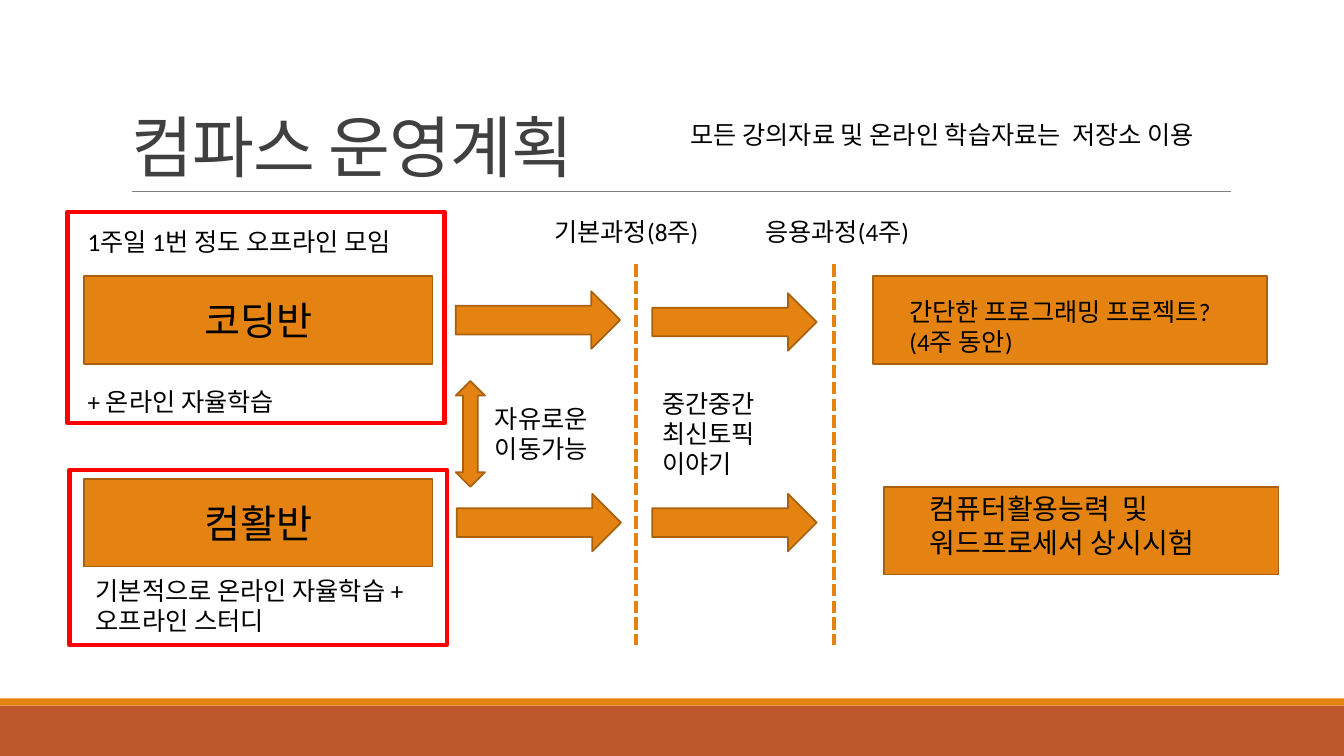
import pptx
import pptx.util
import pptx.oxml.ns
import pptx.dml.color
import pptx.enum.dml
import pptx.enum.shapes
import pptx.enum.text

HUES = {"gold": "E48312", "edge": "A9610D", "rust": "BD582C", "red": "FF0000",
        "gray": "808080", "dark": "404040", "black": "000000"}
FONT = "Calibri"
TITLE = "컴파스 운영계획"

BANDS = [(7, 0.5, "rust"), (6.93, 0.07, "gold")]
CLASSES = [("코딩반", 2.74), ("컴활반", 4.75)]
GOALS = [
    (8.66, 2.74, 18, ["간단한 프로그래밍 프로젝트?", "(4주 동안)"], (0.36, 0.2, 0.26)),
    (8.77, 4.83, 20, ["컴퓨터활용능력  및 워드프로세서 상시시험"], (0.45, 0.05, 0.35)),
]
FRAMES = [(0.67, 2.1, 2.1), (0.69, 4.66, 1.74)]
STAGES = [6.31, 8.27]
ARROWS = [(4.52, 2.89), (6.47, 2.91), (4.53, 4.9), (6.47, 4.9)]
LABELS = [
    (5.4, 2.1, 1.95, 0.4, ["기본과정(8주)"]),
    (7.49, 2.1, 1.95, 0.4, ["응용과정(4주)"]),
    (0.77, 2.2, 3.75, 0.4, ["1주일 1번 정도 오프라인 모임"]),
    (0.77, 3.78, 3.42, 0.4, ["+ 온라인 자율학습"]),
    (0.85, 5.66, 3.42, 0.71, ["기본적으로 온라인 자율학습 + 오프라인 스터디"]),
    (4.81, 3.95, 1.34, 0.71, ["자유로운", "이동가능"]),
    (6.47, 3.8, 1.63, 1.01, ["중간중간", "최신토픽", "이야기"]),
    (6.75, 1.13, 5.82, 0.4, ["모든 강의자료 및 온라인 학습자료는  저장소 이용"]),
]

Inches = pptx.util.Inches
Pt = pptx.util.Pt
KIND = pptx.enum.shapes.MSO_SHAPE
ALIGN = pptx.enum.text.PP_ALIGN
ANCHOR = pptx.enum.text.MSO_ANCHOR


def tint(name):
    return pptx.dml.color.RGBColor.from_string(HUES[name])


def write(frame, lines, size, hue="black", align=ALIGN.LEFT, anchor=ANCHOR.TOP):
    frame.word_wrap = True
    frame.vertical_anchor = anchor
    for i, line in enumerate(lines):
        para = frame.paragraphs[0] if i == 0 else frame.add_paragraph()
        para.alignment = align
        run = para.add_run()
        run.text = line
        run.font.size = Pt(size)
        run.font.name = FONT
        run.font.color.rgb = tint(hue)


def draw(kind, x, y, w, h, fill="gold", edge="edge", width=1.25):
    shape = slide.shapes.add_shape(kind, Inches(x), Inches(y), Inches(w), Inches(h))
    shape.shadow.inherit = False
    if fill:
        shape.fill.solid()
        shape.fill.fore_color.rgb = tint(fill)
    else:
        shape.fill.background()
    if edge:
        shape.line.color.rgb = tint(edge)
        shape.line.width = Pt(width)
    else:
        shape.line.fill.background()
    return shape


def rule(x1, y1, x2, y2, hue, width):
    line = slide.shapes.add_connector(pptx.enum.shapes.MSO_CONNECTOR.STRAIGHT,
                                      Inches(x1), Inches(y1), Inches(x2), Inches(y2))
    line.line.color.rgb = tint(hue)
    line.line.width = Pt(width)
    props = line._element.spPr
    props.append(props.makeelement(pptx.oxml.ns.qn("a:effectLst"), {}))
    return line


deck = pptx.Presentation()
deck.slide_width, deck.slide_height = Inches(13.33), Inches(7.5)
slide = deck.slides.add_slide(deck.slide_layouts[5])

for y, h, hue in BANDS:
    draw(KIND.RECTANGLE, 0, y, 13.33, h, hue, None)
rule(1.31, 1.9, 12.21, 1.9, "gray", 0.5)

title = slide.shapes.title
title.left, title.top = Inches(1.2), Inches(0.31)
title.width, title.height = Inches(11), Inches(1.59)
write(title.text_frame, [TITLE], 48, "dark", anchor=ANCHOR.BOTTOM)
title.text_frame.auto_size = pptx.enum.text.MSO_AUTO_SIZE.NONE
head = title.text_frame.paragraphs[0]
head.line_spacing = 0.85
head.runs[0].font._element.set("spc", "-50")

for name, y in CLASSES:
    box = draw(KIND.RECTANGLE, 0.83, y, 3.46, 0.87)
    write(box.text_frame, [name], 28, align=ALIGN.CENTER, anchor=ANCHOR.MIDDLE)

for x, y, size, lines, (left, top, right) in GOALS:
    frame = draw(KIND.RECTANGLE, x, y, 3.91, 0.87).text_frame
    frame.margin_left, frame.margin_top = Inches(left), Inches(top)
    frame.margin_right, frame.margin_bottom = Inches(right), 0
    write(frame, lines, size)

for x in STAGES:
    line = rule(x, 2.62, x, 6.4, "gold", 3)
    line.line.dash_style = pptx.enum.dml.MSO_LINE.SQUARE_DOT

for x, y in ARROWS:
    draw(KIND.RIGHT_ARROW, x, y, 1.63, 0.57)
draw(KIND.UP_DOWN_ARROW, 4.52, 3.78, 0.29, 1.05)

for x, y, h in FRAMES:
    draw(KIND.RECTANGLE, x, y, 3.74, h, None, "red", 3)

for x, y, w, h, lines in LABELS:
    note = slide.shapes.add_textbox(Inches(x), Inches(y), Inches(w), Inches(h))
    write(note.text_frame, lines, 18)

deck.save("out.pptx")
